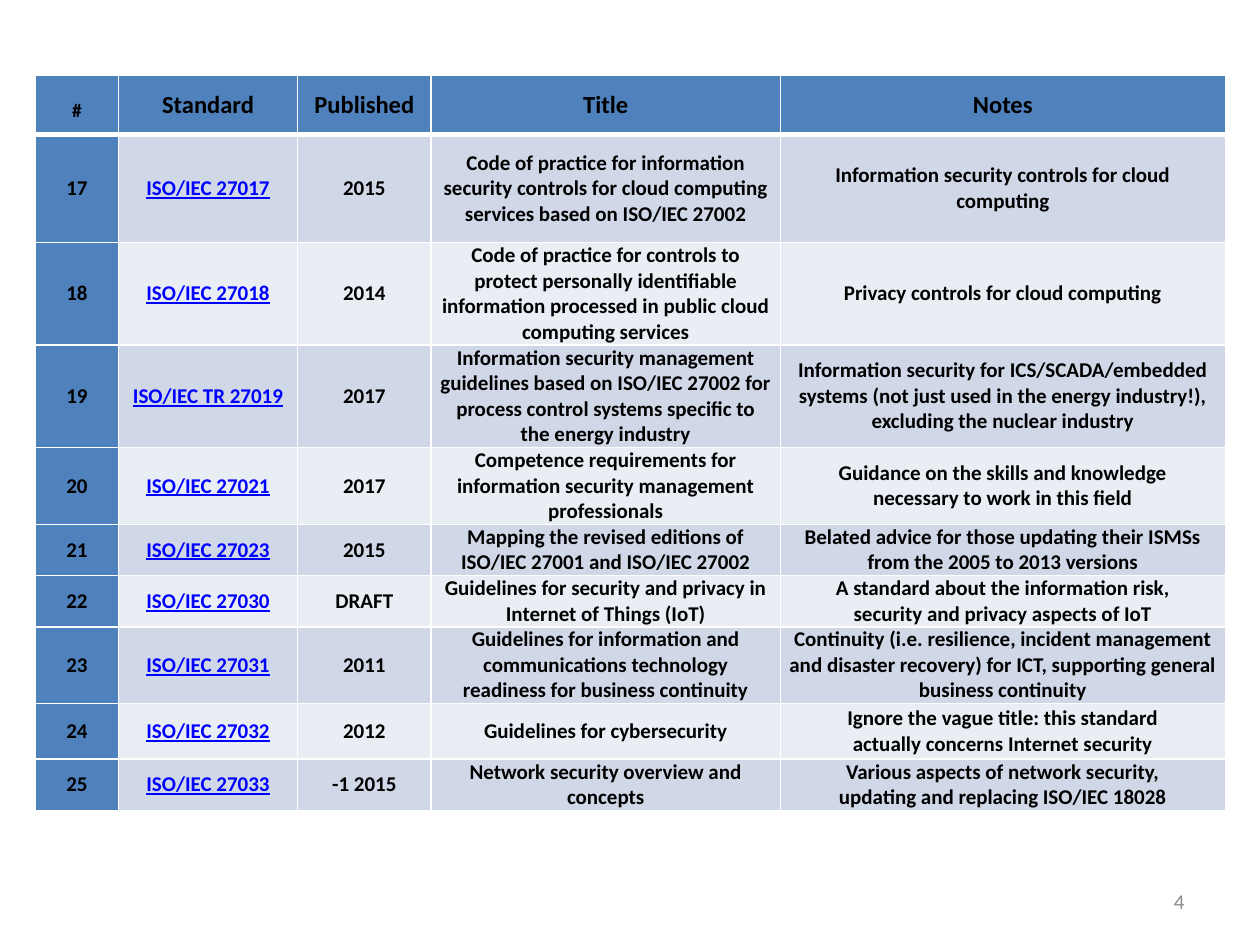
from lxml.etree import SubElement
from pptx import Presentation
from pptx.dml.color import RGBColor
from pptx.enum.text import MSO_ANCHOR as Anchor, PP_ALIGN as Align
from pptx.oxml.ns import qn
from pptx.util import Cm, Pt

FONT = "Calibri"
COLORS = {
    "header": "4F81BD", "odd": "D0D8E8", "even": "E9EDF4", "border": "FFFFFF",
    "text": "000000", "link": "0000FF", "number": "8C8C8C",
}
HEADERS = ["#", "Standard", "Published", "Title", "Notes"]
STANDARDS = [
    ("17", "ISO/IEC 27017", "2015",
     "Code of practice for information security controls for cloud computing services based on ISO/IEC 27002",
     "Information security controls for cloud computing"),
    ("18", "ISO/IEC 27018", "2014",
     "Code of practice for controls to protect personally identifiable information processed in public cloud computing services",
     "Privacy controls for cloud computing"),
    ("19", "ISO/IEC TR 27019", "2017",
     "Information security management guidelines based on ISO/IEC 27002 for process control systems specific to the energy industry",
     "Information security for ICS/SCADA/embedded systems (not just used in the energy industry!), excluding the nuclear industry"),
    ("20", "ISO/IEC 27021", "2017",
     "Competence requirements for information security management professionals",
     "Guidance on the skills and knowledge\vnecessary to work in this field"),
    ("21", "ISO/IEC 27023", "2015",
     "Mapping the revised editions of ISO/IEC 27001 and ISO/IEC 27002",
     "Belated advice for those updating their ISMSs\vfrom the 2005 to 2013 versions"),
    ("22", "ISO/IEC 27030", "DRAFT",
     "Guidelines for security and privacy in Internet of Things (IoT)",
     "A standard about the information risk,\vsecurity and privacy aspects of IoT"),
    ("23", "ISO/IEC 27031", "2011",
     "Guidelines for information and communications technology readiness for business continuity",
     "Continuity (i.e.\u00a0resilience, incident management and disaster recovery) for ICT, supporting general business continuity"),
    ("24", "ISO/IEC 27032", "2012",
     "Guidelines for cybersecurity",
     "Ignore the vague title: this standard\vactually concerns Internet security"),
    ("25", "ISO/IEC 27033", "-1 2015",
     "Network security overview and concepts",
     "Various aspects of network security,\vupdating and replacing ISO/IEC 18028"),
]
COLUMN_WIDTHS = [1.68, 3.61, 2.69, 7.04, 8.97]
ROW_HEIGHTS = [1.19, 2.18, 1.85, 1.85, 1.4, 0.91, 0.91, 1.4, 1.12, 0.91]
TABLE_HEIGHT = Cm(14.66)


def color(name):
    return RGBColor.from_string(COLORS[name])


def style_text(paragraph, size, color_name, align, bold=False):
    paragraph.alignment = align
    paragraph.font.name = FONT
    paragraph.font.size = Pt(size)
    paragraph.font.bold = bold
    for run in paragraph.runs:
        run.font.color.rgb = color(color_name)


def set_borders(cell, bottom_width, top_width):
    properties = cell._tc.get_or_add_tcPr()
    widths = {"lnL": 1, "lnR": 1, "lnT": top_width, "lnB": bottom_width}
    for tag, width in widths.items():
        line = SubElement(properties, qn(f"a:{tag}"), w=str(Pt(width)))
        fill = SubElement(line, qn("a:solidFill"))
        SubElement(fill, qn("a:srgbClr"), val=COLORS["border"])


def fill_cell(cell, row, column, text):
    is_header, is_link = row == 0, row > 0 and column == 1
    is_heading = is_header and column > 0
    cell.text = text
    cell.margin_left = cell.margin_right = Cm(0.17)
    cell.margin_top = cell.margin_bottom = 0
    cell.vertical_anchor = Anchor.TOP if is_heading else Anchor.MIDDLE
    paragraph = cell.text_frame.paragraphs[0]
    size = 14 if is_heading else 11 if is_header else 12
    style_text(paragraph, size, "link" if is_link else "text", Align.CENTER, bold=True)
    if is_link:
        paragraph.runs[0].font.underline = True
    if is_header:
        paragraph.line_spacing = 1.5
    gap = 3 if column == 3 else 7.2
    paragraph.space_before = Pt(4 if is_heading else gap)
    paragraph.space_after = Pt(0 if is_heading else gap)
    set_borders(cell, 3 if is_header else 1, 3 if row == 1 else 1)
    cell.fill.solid()
    band = "odd" if row % 2 else "even"
    cell.fill.fore_color.rgb = color("header" if is_header or column == 0 else band)


presentation = Presentation()
presentation.slide_width, presentation.slide_height = Cm(25.4), Cm(19.05)
slide = presentation.slides.add_slide(presentation.slide_layouts[6])

rows = [HEADERS, *STANDARDS]
table_shape = slide.shapes.add_table(
    len(rows), len(HEADERS), Cm(0.71), Cm(1.52), Cm(sum(COLUMN_WIDTHS)), TABLE_HEIGHT)
table = table_shape.table
for column, width in zip(table.columns, COLUMN_WIDTHS):
    column.width = Cm(width)
for table_row, height in zip(table.rows, ROW_HEIGHTS):
    table_row.height = Cm(height)
table_shape.height = TABLE_HEIGHT
for row, texts in enumerate(rows):
    for column, text in enumerate(texts):
        fill_cell(table.cell(row, column), row, column, text)

page_number = slide.shapes.add_textbox(Cm(18.2), Cm(17.66), Cm(5.93), Cm(1.01))
page_frame = page_number.text_frame
page_frame.word_wrap = True
page_frame.vertical_anchor = Anchor.MIDDLE
page_frame.text = "4"
style_text(page_frame.paragraphs[0], 12, "number", Align.RIGHT)

presentation.save("out.pptx")
